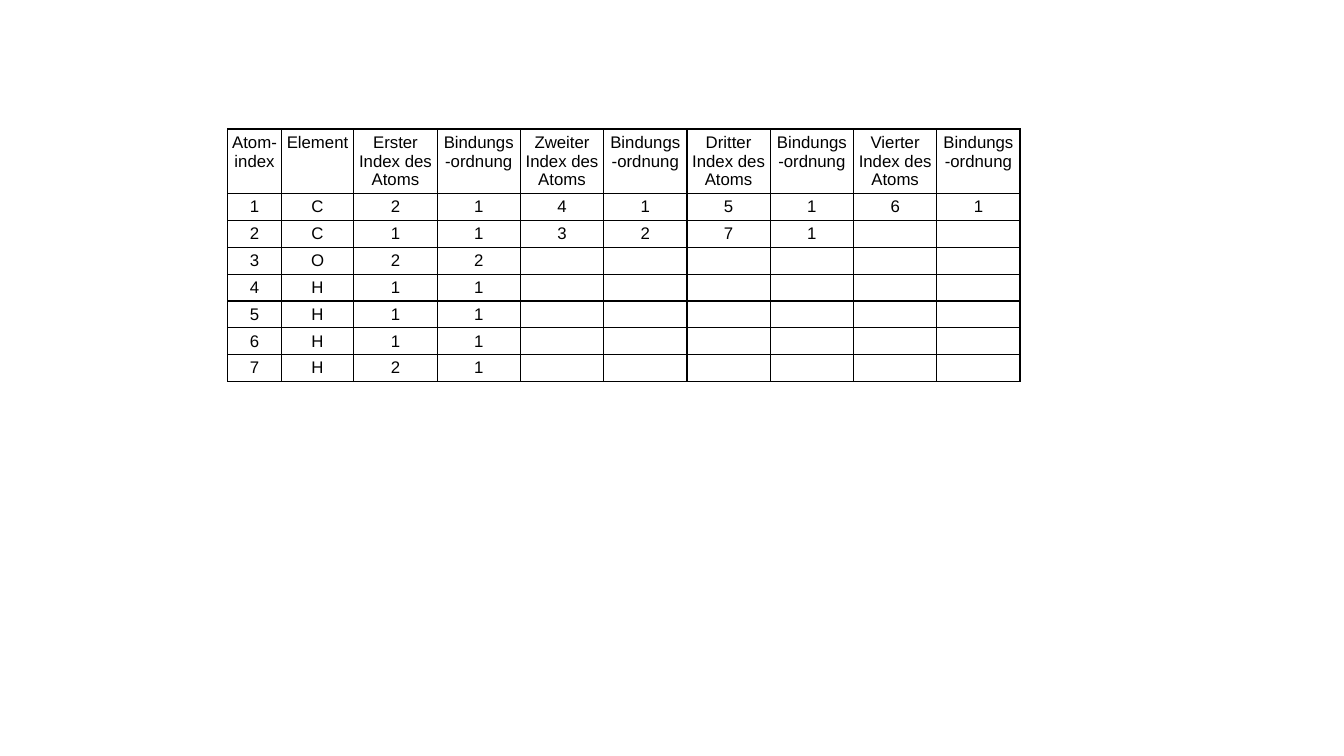
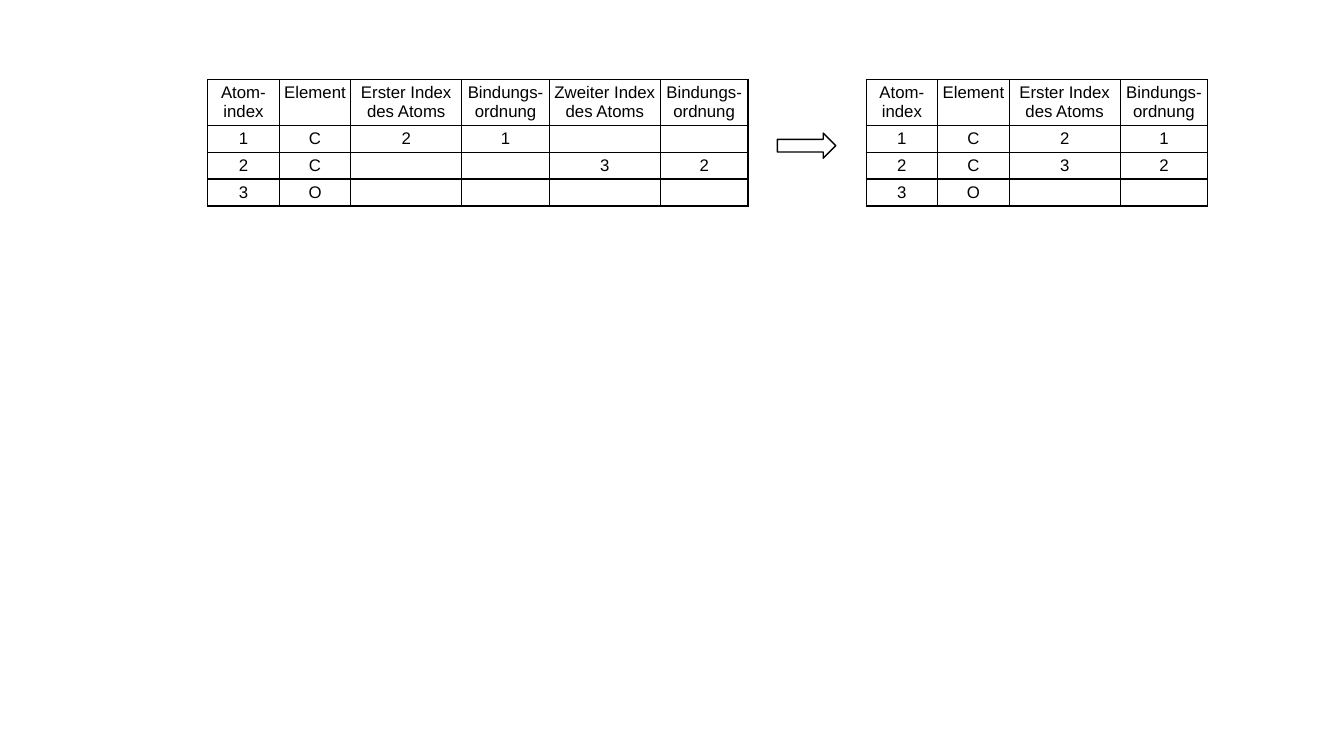
from dataclasses import dataclass

from lxml.etree import SubElement
from pptx import Presentation
from pptx.dml.color import RGBColor
from pptx.enum.shapes import MSO_SHAPE as Shape
from pptx.enum.text import MSO_ANCHOR as Anchor, PP_ALIGN as Align
from pptx.oxml import parse_xml
from pptx.oxml.ns import nsdecls, qn
from pptx.slide import Slide
from pptx.table import _Cell as Cell
from pptx.util import Inches, Pt

BLACK, WHITE = "000000", "FFFFFF"
FONT, SIZE, LINE = "Arial", Pt(12), Pt(1)
INSET = Inches(0.04)
ROW_HEIGHT = 0.26
ORDER = "Bindungs-ordnung"
ATOM = ["Atom-index", "Element"]


@dataclass
class BondTable:
    left: float
    top: float
    widths: list[float]
    header_height: float
    header: list[str]
    rows: list[str]  # cell values separated by blanks, "-" for an empty cell
    body_anchor: Anchor = Anchor.TOP


def color(value: str) -> RGBColor:
    return RGBColor.from_string(value)


def add_borders(cell: Cell) -> None:
    tc_pr = cell._tc.get_or_add_tcPr()
    for i, side in enumerate("LRTB"):
        tc_pr.insert(i, parse_xml(
            f'<a:ln{side} {nsdecls("a")} w="{LINE}"><a:solidFill>'
            f'<a:srgbClr val="{BLACK}"/></a:solidFill></a:ln{side}>'))


def fill_cell(cell: Cell, text: str, anchor: Anchor) -> None:
    formats = {"margin_left": INSET, "margin_right": INSET, "margin_top": INSET,
               "margin_bottom": INSET, "vertical_anchor": anchor}
    for name, value in formats.items():
        setattr(cell, name, value)
    cell.fill.background()
    add_borders(cell)
    p = cell.text_frame.paragraphs[0]
    p.alignment = Align.CENTER
    if text:
        r = p.add_run()
        r.text = text
        for name, value in {"name": FONT, "size": SIZE, "bold": False}.items():
            setattr(r.font, name, value)
        r.font.color.rgb = color(BLACK)
    else:
        # The end mark's size keeps an empty cell from stretching its row
        end = SubElement(p._p, qn("a:endParaRPr"), sz=str(int(SIZE.pt * 100)))
        SubElement(end, qn("a:latin"), typeface=FONT)


def add_bond_table(s: Slide, spec_table: BondTable) -> None:
    t = spec_table
    body = [["" if v == "-" else v for v in row.split()] for row in t.rows]
    heights = [t.header_height] + [ROW_HEIGHT] * len(body)
    frame = s.shapes.add_table(len(heights), len(t.widths), Inches(t.left), Inches(t.top),
                               Inches(sum(t.widths)), Inches(sum(heights)))
    table = frame.table
    table.first_row = table.horz_banding = False
    for column, width in zip(table.columns, t.widths):
        column.width = Inches(width)
    for row, height in zip(table.rows, heights):
        row.height = Inches(height)
    for i, values in enumerate([t.header] + body):
        for j, text in enumerate(values):
            fill_cell(table.cell(i, j), text, t.body_anchor if i else Anchor.TOP)


def add_arrow(s: Slide, left: float, top: float, width: float, height: float) -> None:
    sp = s.shapes.add_shape(Shape.RIGHT_ARROW, *map(Inches, (left, top, width, height)))
    sp.shadow.inherit = False
    sp.fill.solid()
    sp.fill.fore_color.rgb = color(WHITE)
    sp.line.color.rgb = color(BLACK)
    sp.line.width = LINE


def bond_header(ordinals: list[str]) -> list[str]:
    """Atom columns, then a neighbour and a bond order column per ordinal."""
    return ATOM + [text for o in ordinals for text in (f"{o} Index des Atoms", ORDER)]


def main() -> None:
    prs = Presentation()
    prs.slide_width, prs.slide_height = Inches(13.33), Inches(7.5)
    blank = prs.slide_layouts[6]

    atom_widths = [0.53, 0.72]
    bond_width = (7.86 - sum(atom_widths)) / 8
    full = BondTable(
        2.26, 1.28, atom_widths + [bond_width] * 8, 0.64,
        bond_header(["Erster", "Zweiter", "Dritter", "Vierter"]),
        ["1 C 2 1 4 1 5 1 6 1", "2 C 1 1 3 2 7 1 - -"]
        + [f"{atom} - - - - - -" for atom in
           ("3 O 2 2", "4 H 1 1", "5 H 1 1", "6 H 1 1", "7 H 2 1")])
    add_bond_table(prs.slides.add_slide(blank), full)

    atom_widths, bond_widths = [0.71, 0.71], [1.1, 0.87]
    sparse = BondTable(
        2.06, 0.79, atom_widths + bond_widths * 2, 0.45, bond_header(["Erster", "Zweiter"]),
        ["1 C 2 1 - -", "2 C - - 3 2", "3 O - - - -"], Anchor.MIDDLE)
    compact = BondTable(
        8.59, 0.79, atom_widths + bond_widths, 0.45, bond_header(["Erster"]),
        ["1 C 2 1", "2 C 3 2", "3 O - -"], Anchor.MIDDLE)
    s = prs.slides.add_slide(blank)
    for table in (sparse, compact):
        add_bond_table(s, table)
    add_arrow(s, 7.71, 1.32, 0.58, 0.25)

    prs.save("out.pptx")


if __name__ == "__main__":
    main()
